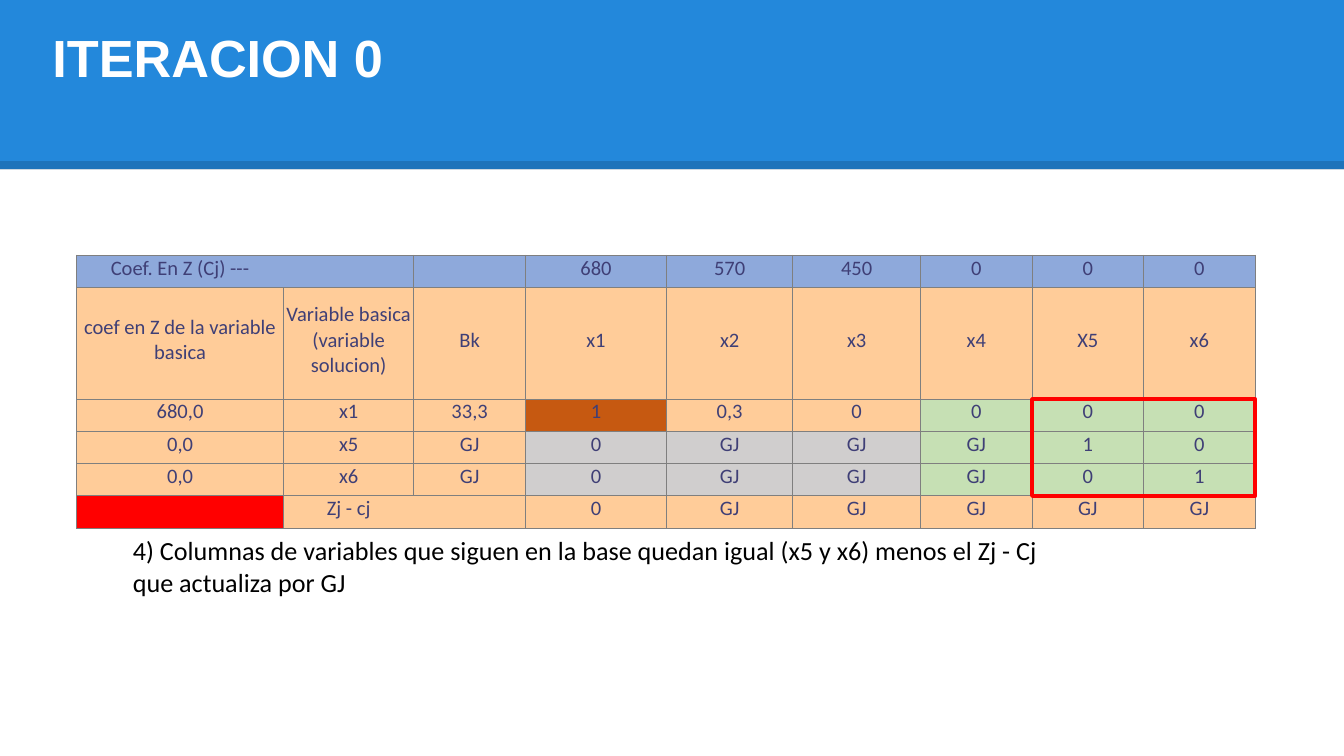
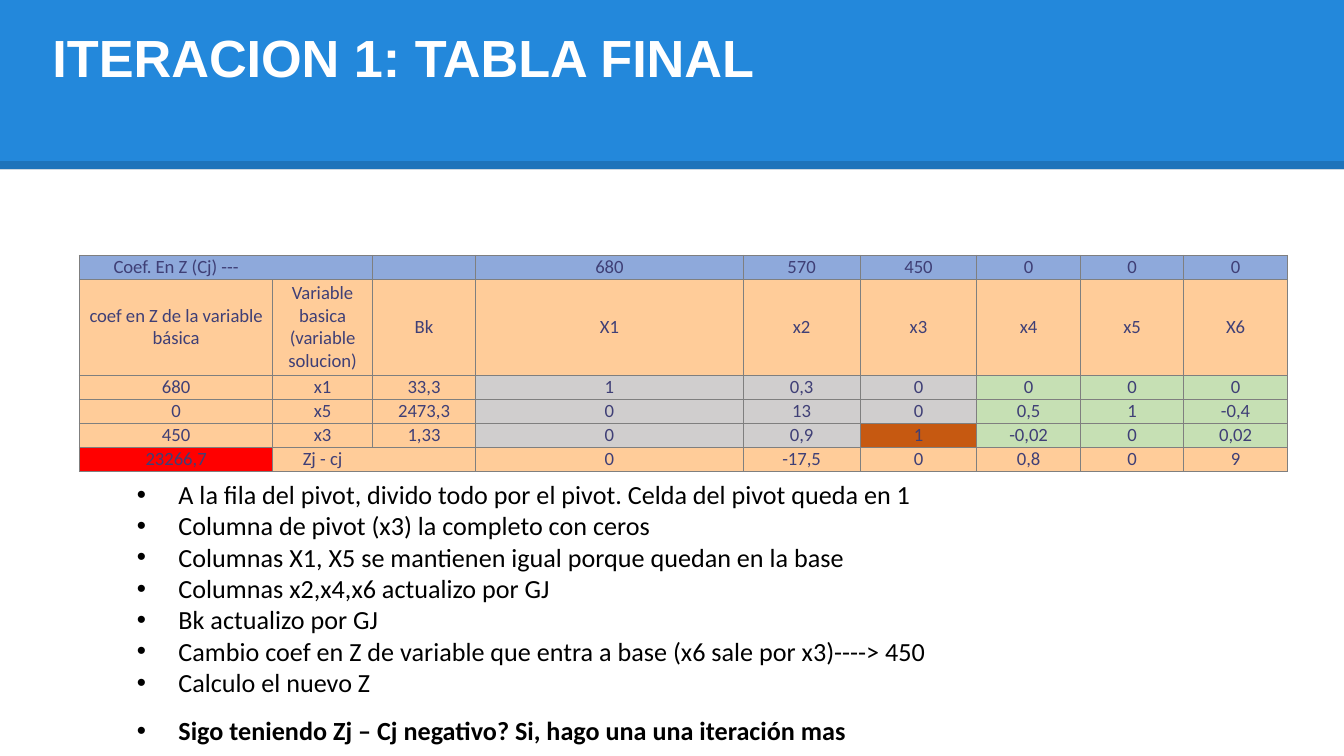
import pptx
import pptx.util
import pptx.dml.color
import pptx.enum.shapes
import pptx.enum.text
import pptx.oxml.ns
import lxml.etree

Inches = pptx.util.Inches
Pt = pptx.util.Pt
qn = pptx.oxml.ns.qn
ALIGN = pptx.enum.text.PP_ALIGN
ANCHOR = pptx.enum.text.MSO_ANCHOR
FIT = pptx.enum.text.MSO_AUTO_SIZE
SHAPE = pptx.enum.shapes.MSO_SHAPE

WIDE = 10
HIGH = WIDE * 9 / 16
BLUE, WHITE, BLACK, RED = "2388DB", "FFFFFF", "000000", "FF0000"
INK, GRID = "3F3F76", "7F7F7F"
# One letter for each cell fill
FILLS = {"b": "8EA9DB", "o": "FFCC99", "p": "C65911",
         "g": "C6E0B4", "s": "D0CECE", "r": RED}


def color(code):
    return pptx.dml.color.RGBColor.from_string(code)


def node(parent, tag, **attrs):
    return lxml.etree.SubElement(parent, qn(tag), attrs)


def style(para, face, size, code, bold=False):
    for run in para.runs:
        font = run.font
        font.name, font.size, font.bold = face, Pt(size), bold
        font.color.rgb = color(code)


def add_band(slide):
    """Blue header with a darker strip along its lower edge."""
    band = slide.shapes.add_shape(
        SHAPE.RECTANGLE, 0, 0, Inches(WIDE), Inches(1.26))
    band.shadow.inherit = False
    band.fill.solid()
    band.fill.fore_color.rgb = color(BLUE)
    band.line.fill.background()

    edge = slide.shapes.add_connector(
        pptx.enum.shapes.MSO_CONNECTOR.STRAIGHT,
        0, Inches(1.23), Inches(WIDE), Inches(1.23))
    edge.line.width = Pt(4.5)
    edge.line.color.rgb = color(BLACK)
    props = edge._element.spPr
    node(props.find(".//" + qn("a:srgbClr")), "a:alpha", val="14000")
    node(props, "a:effectLst")


def add_title(slide, text, height):
    title = slide.shapes.title
    # The title goes in front of the band
    slide.shapes._spTree.append(title._element)
    title.left, title.top = Inches(0.29), Inches(0.14)
    title.width, title.height = Inches(9.12), Inches(height)
    frame = title.text_frame
    frame.text = text
    frame.auto_size = FIT.NONE
    frame.vertical_anchor = ANCHOR.TOP
    para = frame.paragraphs[0]
    para.alignment = ALIGN.LEFT
    style(para, "Arial", 28, WHITE, True)


def add_text(slide, box, lines, bullet=False, bold=False):
    shape = slide.shapes.add_textbox(*map(Inches, box))
    frame = shape.text_frame
    frame.word_wrap = True
    frame.text = "\n".join(lines)
    for para in frame.paragraphs:
        style(para, "Calibri", 14, BLACK, bold)
        if bullet:
            props = para._p.get_or_add_pPr()
            indent = Inches(0.31)
            props.set("marL", str(indent))
            props.set("indent", str(-indent))
            node(node(props, "a:buClr"), "a:srgbClr", val=BLACK)
            node(props, "a:buFont", typeface="Arial")
            node(props, "a:buChar", char="•")


def set_edges(cell, bare):
    """Thin grid lines on all sides except the bare one."""
    props = cell._tc.get_or_add_tcPr()
    for side in "LRTB":
        line = node(props, "a:ln" + side, w=str(Pt(0.5)))
        if side == bare:
            node(line, "a:noFill")
        else:
            node(node(line, "a:solidFill"), "a:srgbClr", val=GRID)


def add_grid(slide, left, top, cols, rows, cells, fills, size, inset):
    frame = slide.shapes.add_table(
        len(rows), len(cols), Inches(left), Inches(top),
        Inches(sum(cols)), Inches(sum(rows)))
    table = frame.table
    table.first_row = table.horz_banding = False
    for col, width in zip(table.columns, cols):
        col.width = Inches(width)
    for row, height in zip(table.rows, rows):
        row.height = Inches(height)

    # Neighbours that read as one cell share no line
    last = len(rows) - 1
    bare = {(0, 0): "R", (0, 1): "L", (last, 1): "R", (last, 2): "L"}
    side, foot = inset
    for i, (words, marks) in enumerate(zip(cells, fills)):
        for j, (word, mark) in enumerate(zip(words, marks)):
            cell = table.cell(i, j)
            cell.margin_left = cell.margin_right = Inches(side)
            cell.margin_top, cell.margin_bottom = 0, Inches(foot)
            cell.vertical_anchor = ANCHOR.MIDDLE
            set_edges(cell, bare.get((i, j)))
            cell.fill.solid()
            cell.fill.fore_color.rgb = color(FILLS[mark])
            para = cell.text_frame.paragraphs[0]
            para.alignment = ALIGN.CENTER
            if word:
                para.text = word
                style(para, "Calibri", size, INK)
            else:
                node(para._p, "a:endParaRPr", sz=str(size * 100))


def add_frame(slide, box):
    """Red outline around the columns that stay in the base."""
    mark = slide.shapes.add_shape(SHAPE.RECTANGLE, *map(Inches, box))
    mark.shadow.inherit = False
    mark.fill.background()
    mark.line.color.rgb = color(RED)
    mark.line.width = Pt(2.25)


def add_slide(deck, title, height):
    slide = deck.slides.add_slide(deck.slide_layouts[5])
    add_band(slide)
    add_title(slide, title, height)
    return slide


def first_step(deck):
    slide = add_slide(deck, "ITERACION 0", 1.04)
    left, top = 0.57, 1.9
    cols = [1.54, 0.97, 0.83, 1.05, 0.94, 0.95] + [0.83] * 3
    rows = [0.24, 0.83] + [0.24] * 4
    cells = [
        ["Coef. En Z (Cj) ---", "", "", "680", "570", "450", "0", "0", "0"],
        ["coef en Z de la variable basica",
         "Variable basica (variable solucion)",
         "Bk", "x1", "x2", "x3", "x4", "X5", "x6"],
        ["680,0", "x1", "33,3", "1", "0,3", "0", "0", "0", "0"],
        ["0,0", "x5", "GJ", "0", "GJ", "GJ", "GJ", "1", "0"],
        ["0,0", "x6", "GJ", "0", "GJ", "GJ", "GJ", "0", "1"],
        ["", "Zj - cj", "", "0"] + ["GJ"] * 5,
    ]
    fills = ["bbbbbbbbb", "ooooooooo", "ooopooggg",
             "ooosssggg", "ooosssggg", "roooooooo"]
    add_text(slide, (0.89, 3.93, 7.26, 0.81), [
        "4) Columnas de variables que siguen en la base quedan igual "
        "(x5 y x6) menos el Zj - Cj que actualiza por GJ"])
    add_grid(slide, left, top, cols, rows, cells, fills, 11, (0.01, 0.05))
    add_frame(slide, (left + sum(cols[:7]), top + sum(rows[:2]),
                      sum(cols[7:]), sum(rows[2:5])))


def last_step(deck):
    slide = add_slide(deck, "ITERACION 1: TABLA FINAL", 1.99)
    cols = [1.44, 0.74, 0.77, 1.99, 0.87, 0.87] + [0.77] * 3
    rows = [0.18, 0.71] + [0.18] * 4
    cells = [
        ["Coef. En Z (Cj) ---", "", "", "680", "570", "450", "0", "0", "0"],
        ["coef en Z de la variable básica",
         "Variable basica (variable solucion)",
         "Bk", "X1", "x2", "x3", "x4", "x5", "X6"],
        ["680", "x1", "33,3", "1", "0,3", "0", "0", "0", "0"],
        ["0", "x5", "2473,3", "0", "13", "0", "0,5", "1", "-0,4"],
        ["450", "x3", "1,33", "0", "0,9", "1", "-0,02", "0", "0,02"],
        ["23266,7", "Zj - cj", "", "0", "-17,5", "0", "0,8", "0", "9"],
    ]
    fills = ["bbbbbbbbb", "ooooooooo", "ooosssggg",
             "ooosssggg", "ooosspggg", "roooooooo"]
    add_text(slide, (0.92, 3.51, 7.26, 1.99), [
        "A la fila del pivot, divido todo por el pivot. "
        "Celda del pivot queda en 1",
        "Columna de pivot (x3) la completo con ceros",
        "Columnas X1, X5 se mantienen igual porque quedan en la base",
        "Columnas x2,x4,x6 actualizo por GJ",
        "Bk actualizo por GJ",
        "Cambio coef en Z de variable que entra a base "
        "(x6 sale por x3)----> 450",
        "Calculo el nuevo Z"], bullet=True)
    add_grid(slide, 0.59, 1.9, cols, rows, cells, fills, 10, (0, 0))
    add_text(slide, (0.92, 5.27, 7.26, 0.34), [
        "Sigo teniendo Zj – Cj negativo? Si, hago una una iteración mas"],
        bullet=True, bold=True)


def main():
    deck = pptx.Presentation()
    deck.slide_width, deck.slide_height = Inches(WIDE), Inches(HIGH)
    first_step(deck)
    last_step(deck)
    deck.save("out.pptx")


if __name__ == "__main__":
    main()
